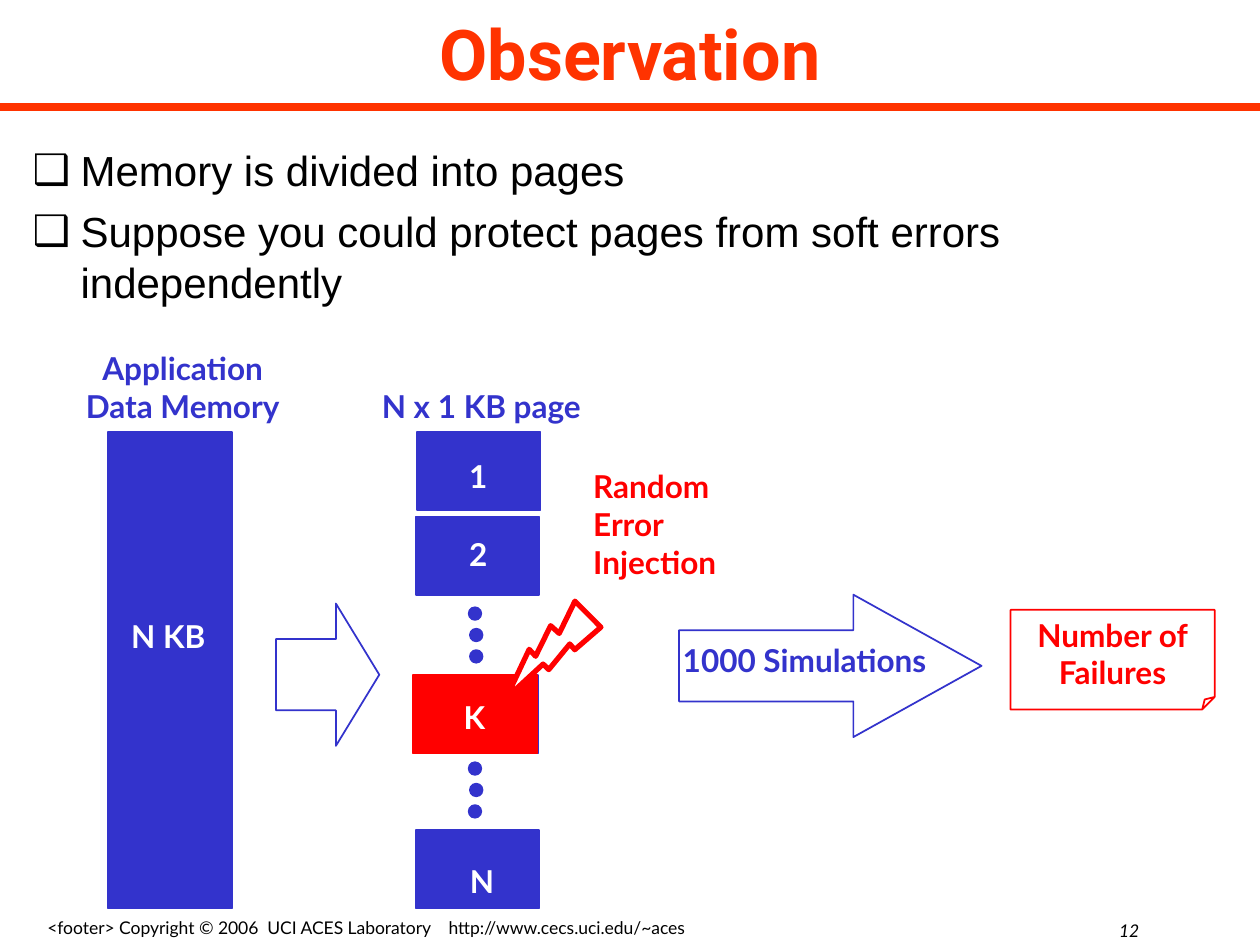
"""Build the slide on soft errors in memory pages, on a grid of 100 by 75 cells."""
from lxml.etree import SubElement
from pptx import Presentation
from pptx.dml.color import RGBColor
from pptx.enum.shapes import MSO_CONNECTOR, MSO_SHAPE
from pptx.enum.text import MSO_ANCHOR, MSO_AUTO_SIZE, PP_ALIGN
from pptx.oxml.ns import qn
from pptx.util import Inches, Pt

BLUE, RED, ORANGE, WHITE, BLACK = "3333CC", "FF0000", "FF3300", "FFFFFF", "000000"
LEFT, MID, RIGHT = PP_ALIGN.LEFT, PP_ALIGN.CENTER, PP_ALIGN.RIGHT
TITLE = "Observation"
POINTS = [
    "Memory is divided into pages",
    "Suppose you could protect pages from soft errors independently",
]
FOOTER = "<footer> Copyright © 2006  UCI ACES Laboratory    http://www.cecs.uci.edu/~aces"
PAGE = (9.8, 6.2)
BLOCKS = [
    (33.1, 34.3, *PAGE),
    (33, 41, *PAGE),
    (32.9, 53.6, *PAGE),
    (33, 65.9, *PAGE),
    (8.6, 34.3, 9.8, 37.8),
]
DOTS = [(48.2, (37.2, 37.3, 37.3)), (60.5, (37.2, 37.3, 37.2))]
DOT, STEP = 1, 1.7
ARROWS = [((21.9, 47.9, 8.2, 11.3), 0.42), ((53.9, 47.2, 24, 11.3), 0.9)]
TAGS = [("N KB", 8.9, 48.5), ("1", 33.5, 35.8), ("2", 33.5, 42), ("N", 33.8, 67.9)]
LABELS = [
    (["N x 1 KB page"], (28.7, 30.2, 19, 4), BLUE, MID),
    (["Application", "Data Memory"], (5, 27.2, 19, 7), BLUE, MID),
    (["1000 Simulations"], (53.2, 50.4, 23.2, 4), BLUE, LEFT),
    (["Random", "Error", "Injection"], (46.1, 36.6, 13.2, 10), RED, LEFT),
]


def cells(*spans):
    return [Inches(span / 10) for span in spans]


def color(code):
    return RGBColor.from_string(code)


def place(shape, area):
    shape.left, shape.top, shape.width, shape.height = cells(*area)
    return shape


def write(shape, lines, size=18, face="Lato", ink=BLACK, bold=False, slant=False,
          align=MID, anchor=MSO_ANCHOR.TOP, wrap=True, gap=0, mark=None):
    frame = shape.text_frame
    frame.auto_size = MSO_AUTO_SIZE.NONE
    frame.word_wrap = wrap
    frame.vertical_anchor = anchor
    for i, line in enumerate(lines):
        para = frame.paragraphs[0] if i == 0 else frame.add_paragraph()
        if mark:
            props = para._p.get_or_add_pPr()
            props.set("marL", str(Inches(0.38)))
            props.set("indent", str(-Inches(0.38)))
            SubElement(props, qn("a:buChar")).set("char", mark)
        para.alignment = align
        para.space_before = Pt(gap if i else 0)
        run = para.add_run()
        run.text = line
        font = run.font
        font.size, font.name, font.bold, font.italic = Pt(size), face, bold, slant
        font.color.rgb = color(ink)


def draw(kind, area, fill, line, width=1):
    shape = slide.shapes.add_shape(kind, *cells(*area))
    shape.shadow.inherit = False
    if fill:
        shape.fill.solid()
        shape.fill.fore_color.rgb = color(fill)
    else:
        shape.fill.background()
    shape.line.color.rgb = color(line)
    shape.line.width = Pt(width)
    return shape


def label(lines, area, **form):
    write(slide.shapes.add_textbox(*cells(*area)), lines, **form)


def tag(text, left, top):
    label([text], (left, top, 8.9, 4), ink=WHITE, bold=True)


deck = Presentation()
deck.slide_width, deck.slide_height = cells(100, 75)
slide = deck.slides.add_slide(deck.slide_layouts[1])

rule = slide.shapes.add_connector(MSO_CONNECTOR.STRAIGHT, *cells(0, 8.5, 100, 8.5))
rule.line.color.rgb = color(ORANGE)
rule.line.width = Pt(4.5)
SubElement(rule._element.spPr, qn("a:effectLst"))
label([FOOTER], (0, 72.3, 58.1, 2.7), size=10)
write(place(slide.shapes.title, (0, 0, 100, 8.4)), [TITLE], size=40, face="Roboto",
      ink=ORANGE, bold=True, anchor=MSO_ANCHOR.MIDDLE)
write(place(slide.placeholders[1], (1.6, 11, 97.8, 16.9)), POINTS, size=24,
      face="Arial", align=LEFT, gap=6, mark="❑")

for area in BLOCKS:
    draw(MSO_SHAPE.RECTANGLE, area, BLUE, BLUE)
for top, lefts in DOTS:
    for i, left in enumerate(lefts):
        draw(MSO_SHAPE.OVAL, (left, top + i * STEP, DOT, DOT), BLUE, BLUE)
for area, head in ARROWS:
    arrow = draw(MSO_SHAPE.RIGHT_ARROW, area, WHITE, BLUE)
    arrow.adjustments[0] = 0.5
    arrow.adjustments[1] = head
for lines, area, ink, align in LABELS:
    label(lines, area, ink=ink, bold=True, align=align, wrap=False)

note = draw(MSO_SHAPE.FOLDED_CORNER, (80.2, 48.4, 16.2, 7.9), None, RED)
fold = SubElement(next(note._element.iter(qn("a:avLst"))), qn("a:gd"))
fold.set("name", "adj")
fold.set("fmla", "val 12500")
write(note, ["Number of", "Failures"], ink=RED, bold=True,
      anchor=MSO_ANCHOR.MIDDLE, wrap=False)
for item in TAGS:
    tag(*item)
draw(MSO_SHAPE.RECTANGLE, (32.8, 53.6, *PAGE), RED, RED)
tag("K", 33.2, 54.9)
bolt = draw(MSO_SHAPE.LIGHTNING_BOLT, (40.5, 47.1, 6.3, 8.6), WHITE, RED, 3)
bolt.rotation = 77.1
label(["12"], (66.5, 72.5, 24.9, 2.9), size=10, slant=True, align=RIGHT)

deck.save("out.pptx")
